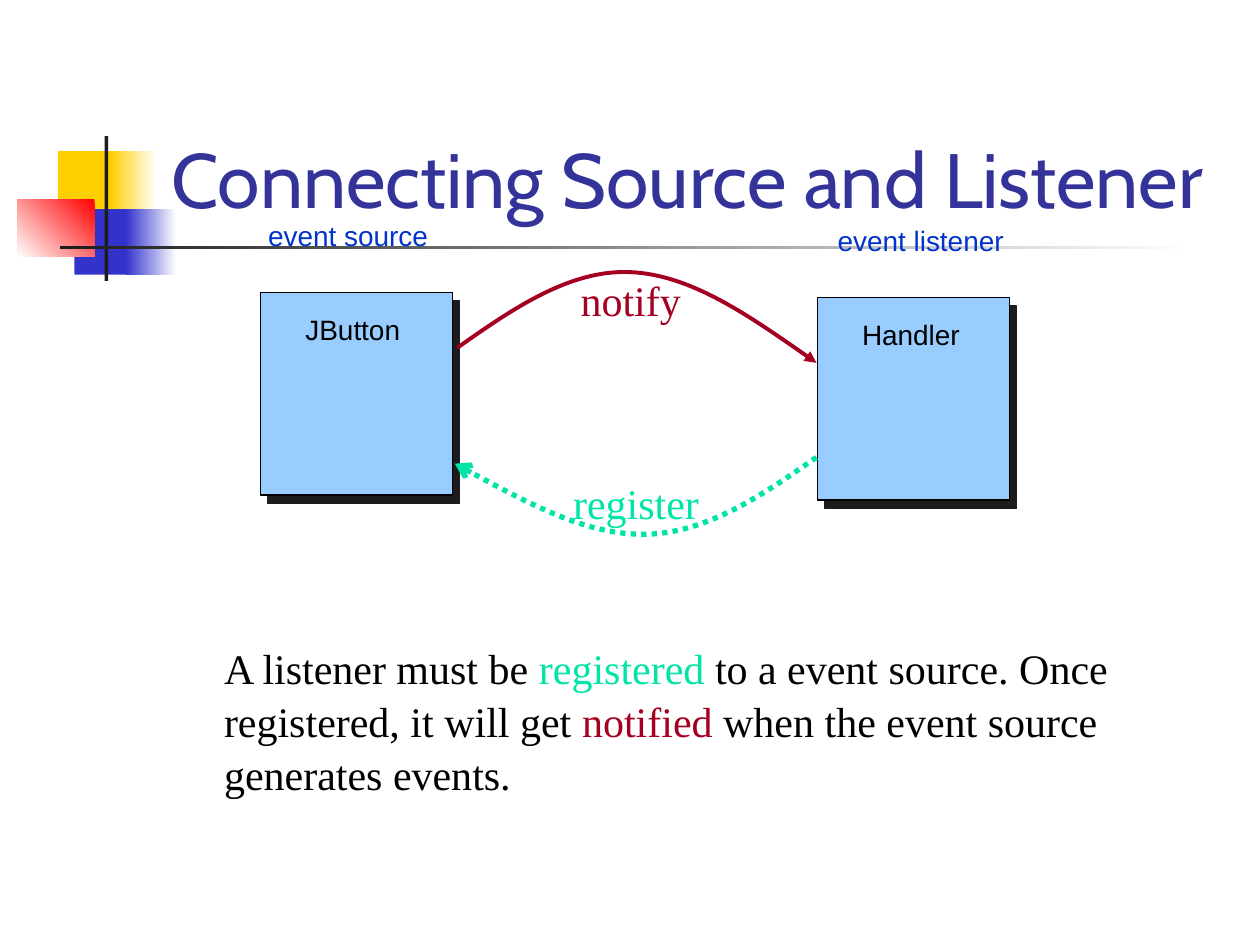
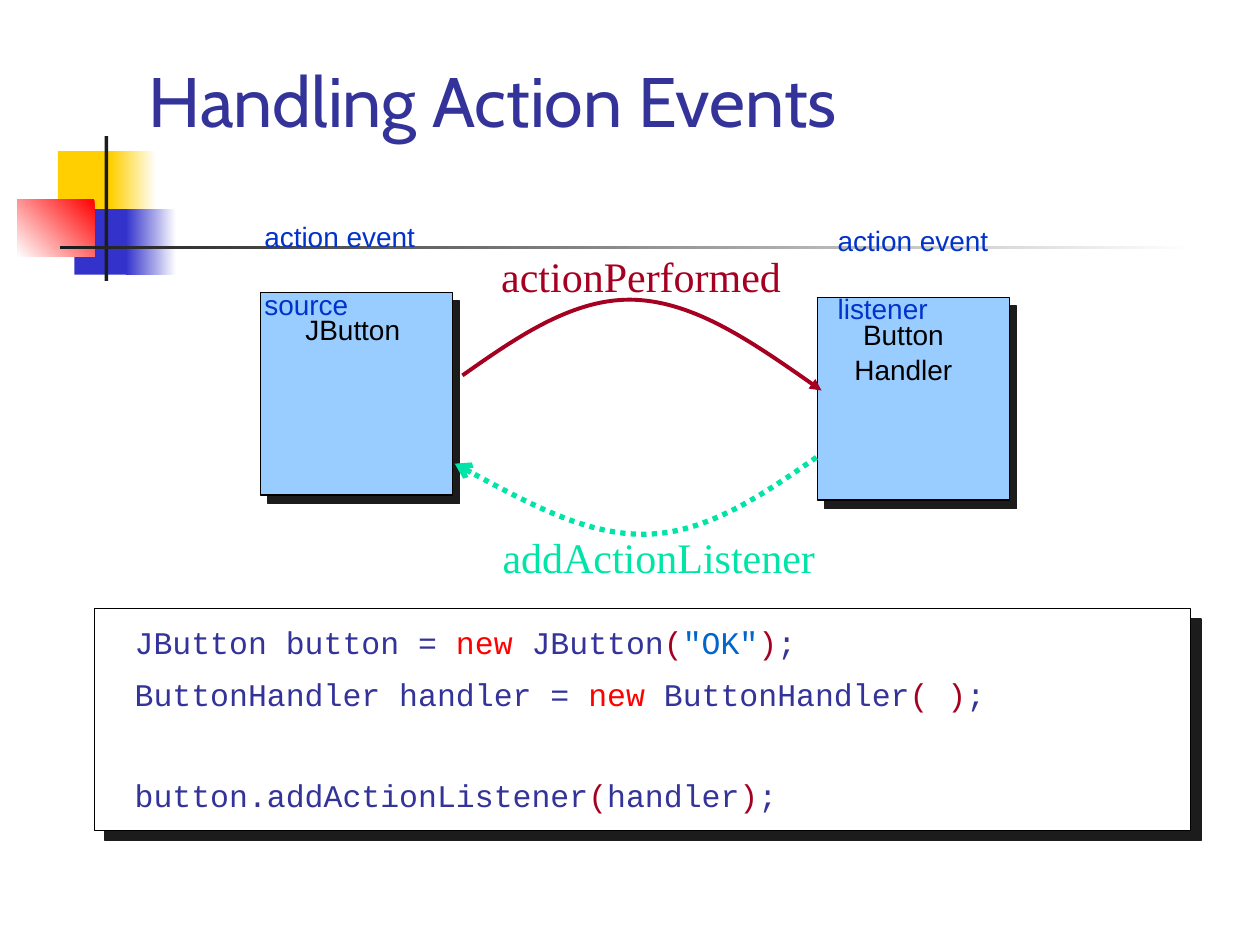
from lxml import etree
from pptx import Presentation
from pptx.dml.color import RGBColor
from pptx.enum import dml, shapes, text
from pptx.oxml import ns
from pptx.util import Inches, Pt

WHITE = RGBColor(0xFF, 0xFF, 0xFF)
BLACK = RGBColor(0x00, 0x00, 0x00)
CHARCOAL = RGBColor(0x1C, 0x1C, 0x1C)
YELLOW = RGBColor(0xFF, 0xCF, 0x01)
BLUE = RGBColor(0x33, 0x33, 0xCC)
RED = RGBColor(0xFF, 0x00, 0x00)
NAVY = RGBColor(0x33, 0x33, 0x99)
SKY = RGBColor(0x99, 0xCC, 0xFF)
CAPTION_BLUE = RGBColor(0x00, 0x33, 0xCC)
STRING_BLUE = RGBColor(0x00, 0x66, 0xCC)
CRIMSON = RGBColor(0xA5, 0x00, 0x21)
MINT = RGBColor(0x00, 0xE4, 0xA8)

TITLE_FONT, LABEL_FONT = "Cabin", "Arial"
BODY_FONT, CODE_FONT = "Times New Roman", "Courier New"

# Cubic curves: start, then three points for each segment
NOTIFY_CURVE = [(3.63, 2.76), (4.07, 2.45), (4.52, 2.14), (5, 2.16),
                (5.48, 2.18), (5.98, 2.53), (6.48, 2.88)]
REGISTER_CURVE = [(6.48, 3.63), (6.05, 3.93), (5.61, 4.23), (5.13, 4.24),
                  (4.66, 4.25), (4.13, 3.96), (3.61, 3.68)]


def add_xml(parent, tag, **attributes):
    return etree.SubElement(parent, ns.qn(tag), attributes)


class Deck:
    def __init__(self):
        self.presentation = Presentation()
        self.presentation.slide_width = Inches(10)
        self.presentation.slide_height = Inches(7.5)
        self.slide = None

    def new_slide(self, title, left, top, height, size):
        layout = self.presentation.slide_layouts[5]
        self.slide = self.presentation.slides.add_slide(layout)
        self.decoration()
        shape = self.slide.shapes.title
        shape.left, shape.top = Inches(left), Inches(top)
        shape.width, shape.height = Inches(8.52), Inches(height)
        frame = shape.text_frame
        frame.text = title
        frame.auto_size = text.MSO_AUTO_SIZE.NONE
        frame.vertical_anchor = text.MSO_ANCHOR.BOTTOM
        paragraph = frame.paragraphs[0]
        paragraph.alignment = text.PP_ALIGN.LEFT
        self.font(paragraph.font, TITLE_FONT, size, NAVY)

    def decoration(self):
        """Coloured squares and cross lines beside the title."""
        self.rectangle(0.46, 1.2, 0.48, 0.52, YELLOW)
        self.gradient(0.88, 1.2, 0.36, 0.52, WHITE, YELLOW)
        self.rectangle(0.59, 1.66, 0.46, 0.52, BLUE)
        self.gradient(1, 1.66, 0.4, 0.52, WHITE, BLUE)
        self.gradient(0.14, 1.58, 0.61, 0.46, RED, WHITE, angle=225)
        self.rectangle(0.83, 1.08, 0.03, 1.15, CHARCOAL)
        self.gradient(0.48, 1.95, 9, 0.03, WHITE, CHARCOAL)

    def font(self, font, name, size, color):
        font.name, font.size = name, Pt(size)
        font.color.rgb = color

    def rectangle(self, left, top, width, height, color):
        shape = self.slide.shapes.add_shape(
            shapes.MSO_SHAPE.RECTANGLE, Inches(left), Inches(top),
            Inches(width), Inches(height))
        shape.shadow.inherit = False
        shape.fill.solid()
        shape.fill.fore_color.rgb = color
        shape.line.fill.background()
        return shape

    def gradient(self, left, top, width, height, first, last, angle=180):
        fill = self.rectangle(left, top, width, height, first).fill
        fill.gradient()
        fill.gradient_angle = angle
        for stop, color, position in zip(fill.gradient_stops, (first, last), (0, 1)):
            stop.color.rgb = color
            stop.position = position

    def panel(self, left, top, width, height, color, distance, direction):
        """Outlined rectangle with a hard shadow."""
        shape = self.rectangle(left, top, width, height, color)
        shape.line.color.rgb = BLACK
        shape.line.width = Pt(0.75)
        effects = shape._element.spPr.find(ns.qn("a:effectLst"))
        shadow = add_xml(effects, "a:outerShdw", dist=str(Pt(distance)),
                         dir=str(direction * 60000), algn="ctr", rotWithShape="0")
        add_xml(shadow, "a:srgbClr", val=str(CHARCOAL))

    def text(self, left, top, width, height, paragraphs, name, size, color,
             spacing=1.05, before=(), centered=False):
        """Each paragraph is a string or a list of (words, colour) runs."""
        box = self.slide.shapes.add_textbox(
            Inches(left), Inches(top), Inches(width), Inches(height))
        frame = box.text_frame
        frame.word_wrap = True
        for index, runs in enumerate(paragraphs):
            paragraph = frame.add_paragraph() if index else frame.paragraphs[0]
            paragraph.line_spacing = spacing
            if index and before:
                paragraph.space_before = Pt(before[index - 1])
            if centered:
                paragraph.alignment = text.PP_ALIGN.CENTER
            self.font(paragraph.font, name, size, color)
            for words, run_color in [(runs, color)] if isinstance(runs, str) else runs:
                run = paragraph.add_run()
                run.text = words
                self.font(run.font, name, size, run_color)

    def node(self, left, top, label, label_center):
        self.panel(left, top, 1.52, 1.61, SKY, 6.4, 51)
        self.text(label_center - 0.7, top + 0.1, 1.4, 0.27 * len(label) + 0.1,
                  label, LABEL_FONT, 16, BLACK, centered=True)

    def caption(self, left, top, lines):
        self.text(left, top, 1.76, 0.37 if len(lines) == 1 else 0.9, lines,
                  LABEL_FONT, 16, CAPTION_BLUE, before=(19,))

    def arc(self, points, color, width, head, dash=None, dx=0, dy=0):
        """Curved arrow through cubic segments."""
        points = [(Inches(x + dx), Inches(y + dy)) for x, y in points]
        builder = self.slide.shapes.build_freeform(*points[0])
        builder.add_line_segments(points[1:], close=False)
        shape = builder.convert_to_shape()
        shape.shadow.inherit = False
        shape.fill.background()
        shape.line.color.rgb = color
        shape.line.width = Pt(width)
        if dash:
            shape.line.dash_style = dash
        properties = shape._element.spPr
        add_xml(properties.find(ns.qn("a:ln")), "a:tailEnd", type=head)
        # Turn each three line segments into one cubic segment
        path = next(properties.iter(ns.qn("a:path")))
        segments = path.findall(ns.qn("a:lnTo"))
        for start in range(0, len(segments), 3):
            curve = add_xml(path, "a:cubicBezTo")
            for segment in segments[start:start + 3]:
                curve.append(segment[0])
                path.remove(segment)

    def arc_label(self, left, top, width, words, color):
        self.text(left, top, width, 0.5, [words], BODY_FONT, 24, color)

    def notify_arc(self, dx=0, dy=0):
        self.arc(NOTIFY_CURVE, CRIMSON, 2.25, "triangle", dx=dx, dy=dy)

    def register_arc(self):
        self.arc(REGISTER_CURVE, MINT, 3, "arrow", dml.MSO_LINE.ROUND_DOT)


def connecting_slide(deck):
    deck.new_slide("Connecting Source and Listener", 1.26, 0.23, 1.6, 44)
    # Source and listener
    deck.node(2.07, 2.32, ["JButton"], 2.8)
    deck.node(6.49, 2.36, ["Handler"], 7.23)
    deck.caption(2.03, 1.67, ["event source"])
    deck.caption(6.55, 1.71, ["event listener"])
    # Arrows
    deck.notify_arc()
    deck.arc_label(4.51, 2.11, 1.2, "notify", CRIMSON)
    deck.register_arc()
    deck.arc_label(4.45, 3.72, 1.4, "register", MINT)
    # Explanation
    deck.text(1.68, 5.03, 7.5, 1.3, [
        [("A listener must be ", BLACK), ("registered", MINT),
         (" to a event source. Once", BLACK)],
        [("registered, it will get ", BLACK), ("notified", CRIMSON),
         (" when the event source", BLACK)],
        "generates events.",
    ], BODY_FONT, 24, BLACK)


def handling_slide(deck):
    deck.new_slide("Handling Action Events", 1.08, 0.42, 0.75, 40)
    # Source and listener
    deck.node(2.07, 2.32, ["JButton"], 2.8)
    deck.node(6.49, 2.36, ["Button", "Handler"], 7.17)
    deck.caption(2, 1.68, ["action event", "source"])
    deck.caption(6.55, 1.71, ["action event", "listener"])
    # Arrows
    deck.notify_arc(dx=0.04, dy=0.22)
    deck.arc_label(3.88, 1.92, 2.6, "actionPerformed", CRIMSON)
    deck.register_arc()
    deck.arc_label(3.89, 4.15, 2.9, "addActionListener", MINT)
    # Code
    deck.panel(0.75, 4.83, 8.7, 1.76, WHITE, 8.5, 45)
    deck.text(0.97, 4.94, 8.38, 1.53, [
        [("JButton button = ", NAVY), ("new", RED), (" JButton", NAVY),
         ("(", CRIMSON), ('"OK"', STRING_BLUE), (")", CRIMSON), (";", NAVY)],
        [("ButtonHandler handler = ", NAVY), ("new ", RED),
         ("ButtonHandler", NAVY), ("( )", CRIMSON), (";", NAVY)],
        [("button.addActionListener", NAVY), ("(", CRIMSON),
         ("handler", NAVY), (")", CRIMSON), (";", NAVY)],
    ], CODE_FONT, 18, NAVY, spacing=0.85, before=(11.2, 39.8))


def main():
    deck = Deck()
    connecting_slide(deck)
    handling_slide(deck)
    deck.presentation.save("out.pptx")


if __name__ == "__main__":
    main()
